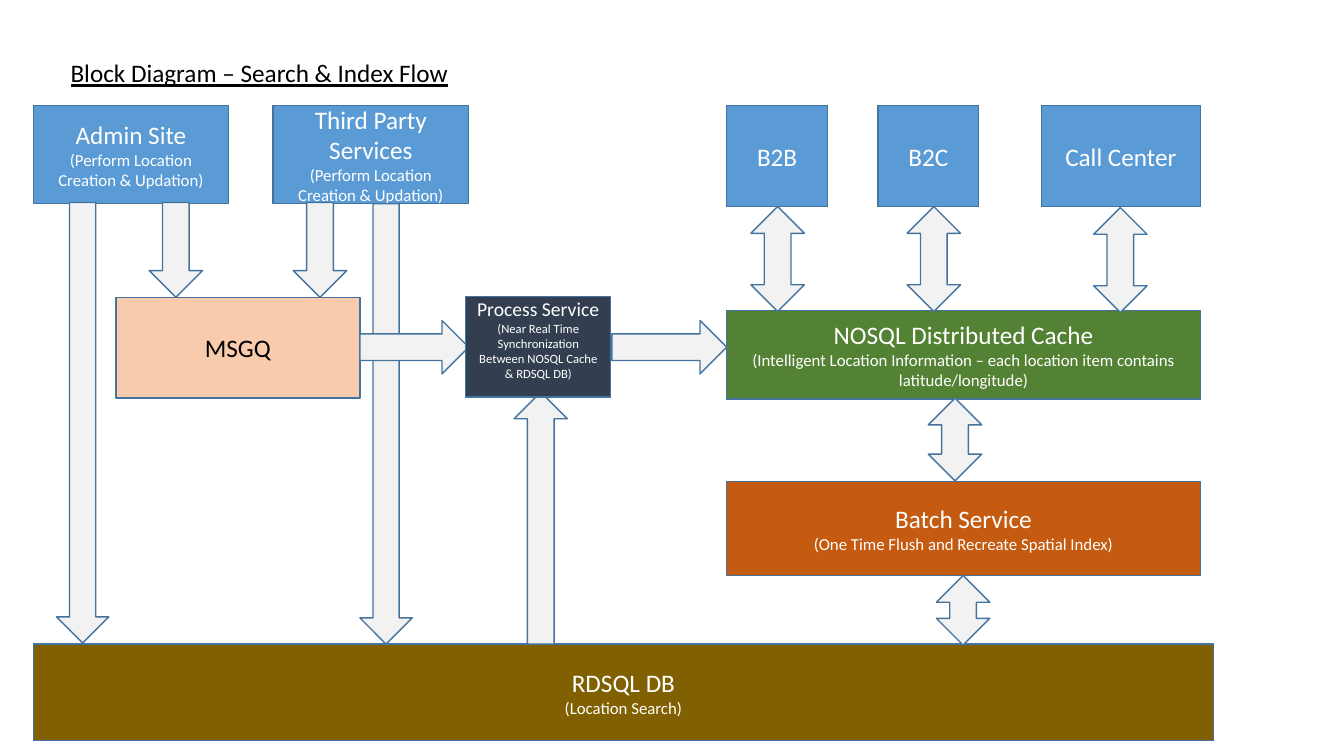
from pptx import Presentation, util as u
from pptx.dml.color import RGBColor
from pptx.enum import shapes, text

PX = 9144
KIND = shapes.MSO_SHAPE
ALIGN = text.PP_ALIGN
ANCHOR = text.MSO_ANCHOR

deck = Presentation()
deck.slide_width, deck.slide_height = 12192000, 6858000
slide = deck.slides.add_slide(deck.slide_layouts[5])


def write(frame, lines, sizes=(18, 12), ink="FFFFFF", align=ALIGN.CENTER,
          anchor=ANCHOR.MIDDLE, wrap=True, under=False, foot=5):
    frame.word_wrap = wrap
    frame.vertical_anchor = anchor
    frame.margin_left = frame.margin_right = 10 * PX
    frame.margin_top, frame.margin_bottom = 5 * PX, foot * PX
    for i, (line, size) in enumerate(zip(lines, sizes)):
        para = frame.add_paragraph() if i else frame.paragraphs[0]
        para.alignment = align
        run = para.add_run()
        run.text = line
        run.font.name = "Calibri"
        run.font.size = u.Pt(size)
        run.font.underline = under
        run.font.color.rgb = RGBColor.from_string(ink)


def draw(kind, place, fill):
    shape = slide.shapes.add_shape(kind, *(n * PX for n in place))
    shape.shadow.inherit = False
    shape.fill.solid()
    shape.fill.fore_color.rgb = RGBColor.from_string(fill)
    shape.line.color.rgb = RGBColor.from_string("43739E")
    shape.line.width = u.Pt(1)
    return shape


title = slide.shapes.title
title.left, title.top, title.width, title.height = (n * PX for n in (60, 52, 399, 40))
write(title.text_frame, ["Block Diagram – Search & Index Flow"], ink="000000",
      align=ALIGN.LEFT, anchor=ANCHOR.TOP, wrap=False, under=True)
title.text_frame.auto_size = text.MSO_AUTO_SIZE.SHAPE_TO_FIT_TEXT

BLUE = "5B9BD5"
task = "(Perform Location Creation & Updation)"
boxes = [
    ((33, 639, 1171, 96), "806000", ["RDSQL DB", "(Location Search)"]),
    ((721, 308, 470, 88), "548235", [
        "NOSQL Distributed Cache",
        "(Intelligent Location Information – each location item contains latitude/longitude)"]),
    ((721, 478, 470, 93), "C55A11", [
        "Batch Service", "(One Time Flush and Recreate Spatial Index)"]),
    ((33, 105, 194, 97), BLUE, ["Admin Site", task]),
    ((271, 105, 194, 97), BLUE, ["Third Party Services", task]),
    ((721, 105, 100, 100), BLUE, ["B2B"]),
    ((871, 105, 100, 100), BLUE, ["B2C"]),
    ((1033, 105, 158, 100), BLUE, ["Call Center"]),
]
for place, fill, lines in boxes:
    write(draw(KIND.RECTANGLE, place, fill).text_frame, lines)

queue = draw(KIND.RECTANGLE, (115, 295, 242, 100), "F8CBAD")
write(queue.text_frame, ["MSGQ"], ink="000000")

arrows = {
    KIND.DOWN_ARROW: [(56, 201, 52, 437), (357, 202, 52, 437),
                      (148, 201, 53, 94), (291, 201, 53, 94)],
    KIND.UP_DOWN_ARROW: [(929, 571, 53, 69), (921, 395, 53, 82), (745, 205, 53, 104),
                         (900, 205, 53, 104), (1085, 206, 53, 104)],
    KIND.UP_ARROW: [(510, 389, 53, 250)],
    KIND.RIGHT_ARROW: [(357, 318, 108, 53), (607, 318, 114, 53)],
}
for kind, places in arrows.items():
    for place in places:
        draw(kind, place, "F2F2F2")

sync = draw(KIND.RECTANGLE, (462, 294, 144, 100), "333F50")
write(sync.text_frame, [
    "Process Service",
    "(Near Real Time Synchronization Between NOSQL Cache & RDSQL DB)",
], sizes=(14, 9), foot=20)

deck.save("out.pptx")
